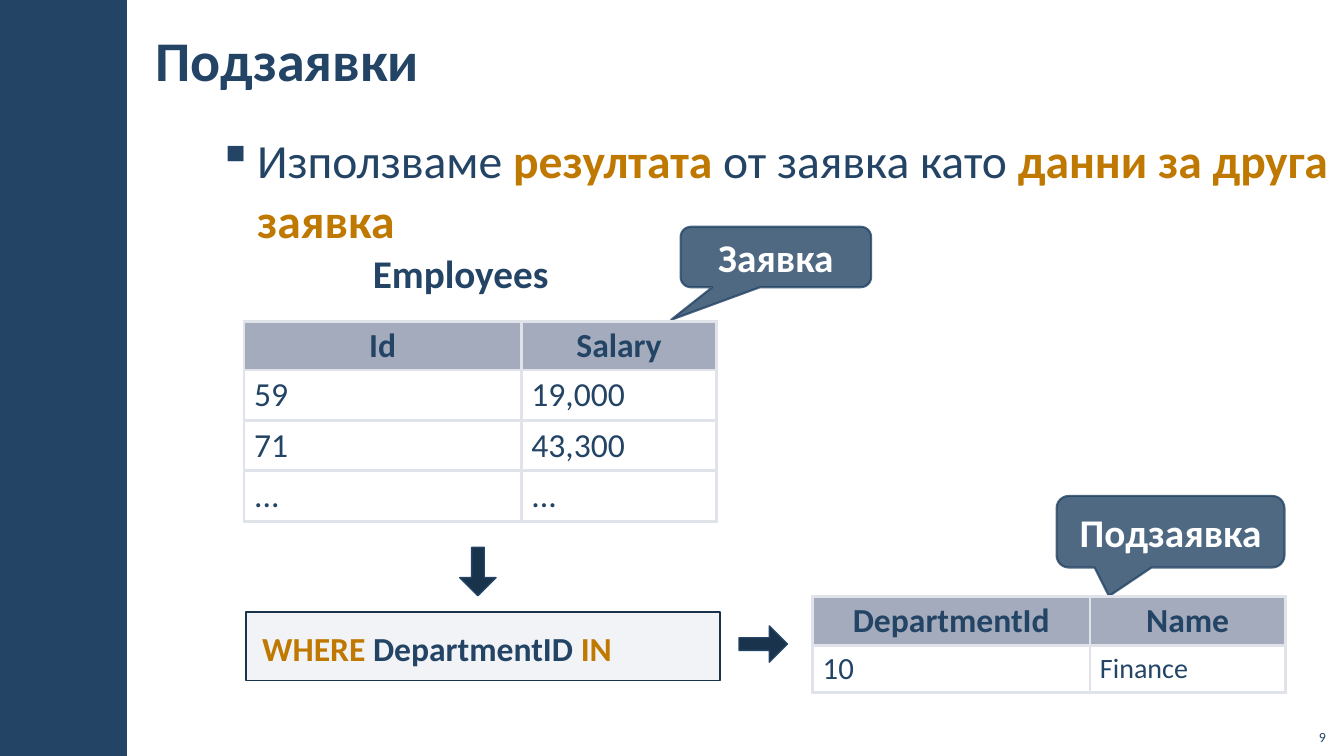
from dataclasses import dataclass

from lxml import etree
from pptx import Presentation
from pptx.dml.color import RGBColor
from pptx.enum.shapes import MSO_SHAPE
from pptx.enum.text import MSO_ANCHOR, PP_ALIGN
from pptx.oxml.ns import qn
from pptx.util import Pt

PX = 9144  # EMU in one px, 100 px to the inch
RECT = MSO_SHAPE.RECTANGLE
ARROW = MSO_SHAPE.UP_ARROW
CALLOUT = MSO_SHAPE.ROUNDED_RECTANGULAR_CALLOUT
TOP, MIDDLE, BOTTOM = MSO_ANCHOR.TOP, MSO_ANCHOR.MIDDLE, MSO_ANCHOR.BOTTOM
LEFT, CENTER, RIGHT = PP_ALIGN.LEFT, PP_ALIGN.CENTER, PP_ALIGN.RIGHT


@dataclass(frozen=True)
class Theme:
    font: str = "Calibri"
    navy: str = "234465"
    dark: str = "1A334C"
    accent: str = "BF7800"
    white: str = "FFFFFF"
    panel: str = "ADB4C3"
    header: str = "A3ABBC"
    border: str = "E0E3E9"
    title: int = 40
    body: int = 34
    label: int = 28
    cell: int = 24
    number: int = 10


class SlideBuilder:
    def __init__(self, page, theme):
        self.page = page
        self.theme = theme

    def paint(self, fill, color, alpha=100):
        fill.solid()
        fill.fore_color.rgb = RGBColor.from_string(color)
        if alpha < 100:
            # fill.fore_color has no opacity setting
            for node in fill._xPr.iter(qn("a:srgbClr")):
                etree.SubElement(node, qn("a:alpha"), val=str(alpha * 1000))

    def fill_frame(self, frame, spans, size, color=None, bold=False, align=LEFT,
                   anchor=TOP, insets=(10, 5), wrap=True, spacing=None, bullet=None):
        """Fill a frame with one paragraph of (text, accented) spans or a string."""
        frame.word_wrap = wrap
        frame.vertical_anchor = anchor
        frame.margin_left = frame.margin_right = insets[0] * PX
        frame.margin_top = frame.margin_bottom = insets[1] * PX
        para = frame.paragraphs[0]
        para.alignment = align
        if spacing:
            para.line_spacing = spacing
        if bullet:
            self.add_bullet(para, bullet)
        para.font.name = self.theme.font
        para.font.size = Pt(size)
        para.font.bold = bold
        para.font.color.rgb = RGBColor.from_string(color or self.theme.navy)
        if isinstance(spans, str):
            spans = [(spans, False)]
        for text, accented in spans:
            span = para.add_run()
            span.text = text
            if accented:
                span.font.bold = True
                span.font.color.rgb = RGBColor.from_string(self.theme.accent)

    def add_bullet(self, para, mark, indent=39):
        props = para._p.get_or_add_pPr()
        props.set("marL", str(indent * PX))
        props.set("indent", str(-indent * PX))
        color = etree.SubElement(props, qn("a:buClr"))
        etree.SubElement(color, qn("a:srgbClr"), val=self.theme.navy)
        etree.SubElement(props, qn("a:buChar"), char=mark)

    def text(self, area, spans, size, **style):
        box = self.page.shapes.add_textbox(*(length * PX for length in area))
        self.fill_frame(box.text_frame, spans, size, **style)

    def shape(self, kind, area, fill, line=None, width=1, alpha=100,
              line_alpha=100, adjust=(), turn=0):
        item = self.page.shapes.add_shape(kind, *(length * PX for length in area))
        item.shadow.inherit = False
        item.rotation = turn
        for index, value in enumerate(adjust):
            item.adjustments[index] = value
        self.paint(item.fill, fill, alpha)
        if line:
            item.line.width = Pt(width)
            self.paint(item.line.fill, line, line_alpha)
        else:
            item.line.fill.background()
        return item

    def arrow(self, area, turn):
        self.shape(ARROW, area, self.theme.dark, self.theme.navy,
                   adjust=(0.35, 0.5), turn=turn)

    def callout(self, area, label, tip):
        item = self.shape(CALLOUT, area, self.theme.navy, self.theme.navy, 1.5,
                          alpha=80, line_alpha=80, adjust=(*tip, 0.17))
        self.fill_frame(item.text_frame, label, self.theme.label, self.theme.white,
                        bold=True, align=CENTER, anchor=MIDDLE)

    def cell_borders(self, cell):
        props = cell._tc.get_or_add_tcPr()
        for index, side in enumerate(("lnL", "lnR", "lnT", "lnB")):
            line = etree.Element(qn(f"a:{side}"), w=str(Pt(2.2)))
            fill = etree.SubElement(line, qn("a:solidFill"))
            etree.SubElement(fill, qn("a:srgbClr"), val=self.theme.border)
            props.insert(index, line)

    def table(self, left, top, columns, heights, rows, sizes):
        """Draw a header row over plain rows; sizes holds one type size per column."""
        table = self.page.shapes.add_table(
            len(rows), len(columns), left * PX, top * PX,
            sum(columns) * PX, sum(heights) * PX).table
        table.first_row = table.horz_banding = False
        for column, width in zip(table.columns, columns):
            column.width = width * PX
        for index, (row, height) in enumerate(zip(table.rows, heights)):
            row.height = height * PX
            is_header = index == 0
            for cell, value, size in zip(row.cells, rows[index], sizes):
                self.fill_frame(cell.text_frame, value,
                                self.theme.cell if is_header else size,
                                bold=is_header, align=CENTER if is_header else LEFT,
                                spacing=0.95 if is_header else None)
                cell.vertical_anchor = MIDDLE
                if is_header:
                    self.paint(cell.fill, self.theme.header)
                else:
                    cell.fill.background()
                self.cell_borders(cell)


def main():
    deck = Presentation()
    deck.slide_width, deck.slide_height = 1333 * PX, 750 * PX
    theme = Theme()
    slide = SlideBuilder(deck.slides.add_slide(deck.slide_layouts[6]), theme)

    # Side band, title and statement
    slide.shape(RECT, (0, 0, 126, 750), theme.navy)
    slide.text((204, 123, 1129, 606),
               [("Използваме ", False), ("резултата", True),
                (" от заявка като ", False), ("данни за друга заявка", True)],
               theme.body, insets=(12, 4), spacing=1.05, bullet="▪")
    slide.text((142, 11, 1002, 96), "Подзаявки", theme.title, bold=True,
               anchor=MIDDLE, insets=(12, 4))

    # Outer query
    columns = (275, 194)
    slide.text((360, 242, 227, 56), "Employees", theme.label, bold=True, wrap=False)
    slide.callout((675, 225, 189, 60), "Заявка", (-0.55, 1.04))
    slide.table(242, 319, columns, (48, 50, 50, 50),
                [("Id", "Salary"), ("59", "19,000"), ("71", "43,300"), ("...", "...")],
                (theme.cell, theme.cell))

    # Condition that links both queries
    slide.arrow((456, 543, 36, 48), 180)
    condition = slide.shape(RECT, (244, 607, 470, 68), theme.panel, theme.dark, alpha=15)
    slide.fill_frame(condition.text_frame,
                     [("WHERE ", True), ("DepartmentID ", False), ("IN", True)],
                     theme.cell, bold=True, insets=(16, 12), spacing=1.1)
    slide.arrow((739, 615, 36, 48), 90)

    # Subquery
    slide.callout((1048, 492, 226, 71), "Подзаявка", (-0.27, 0.9))
    slide.table(806, 592, columns, (48, 45),
                [("DepartmentId", "Name"), ("10", "Finance")], (22, 20))

    # Page number
    slide.text((1285, 712, 40, 32), "9", theme.number, align=RIGHT, anchor=BOTTOM)

    deck.save("out.pptx")


if __name__ == "__main__":
    main()
